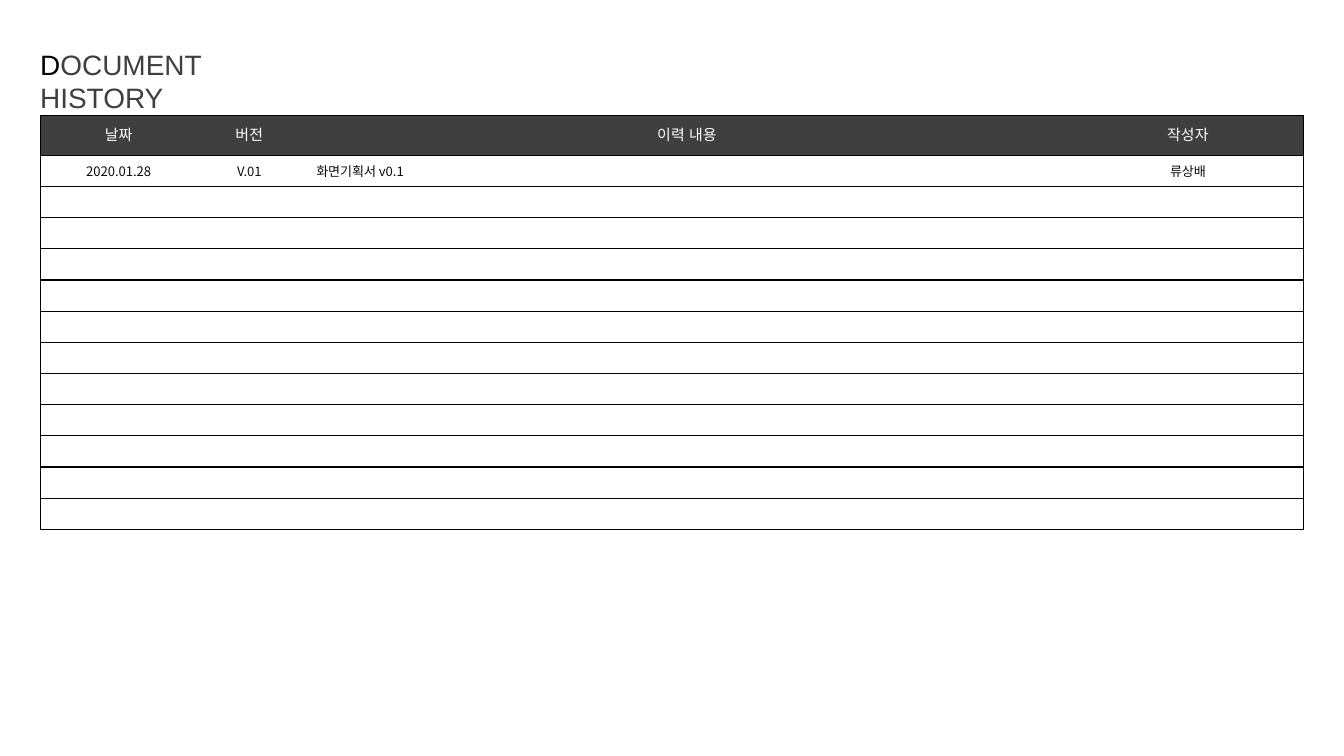
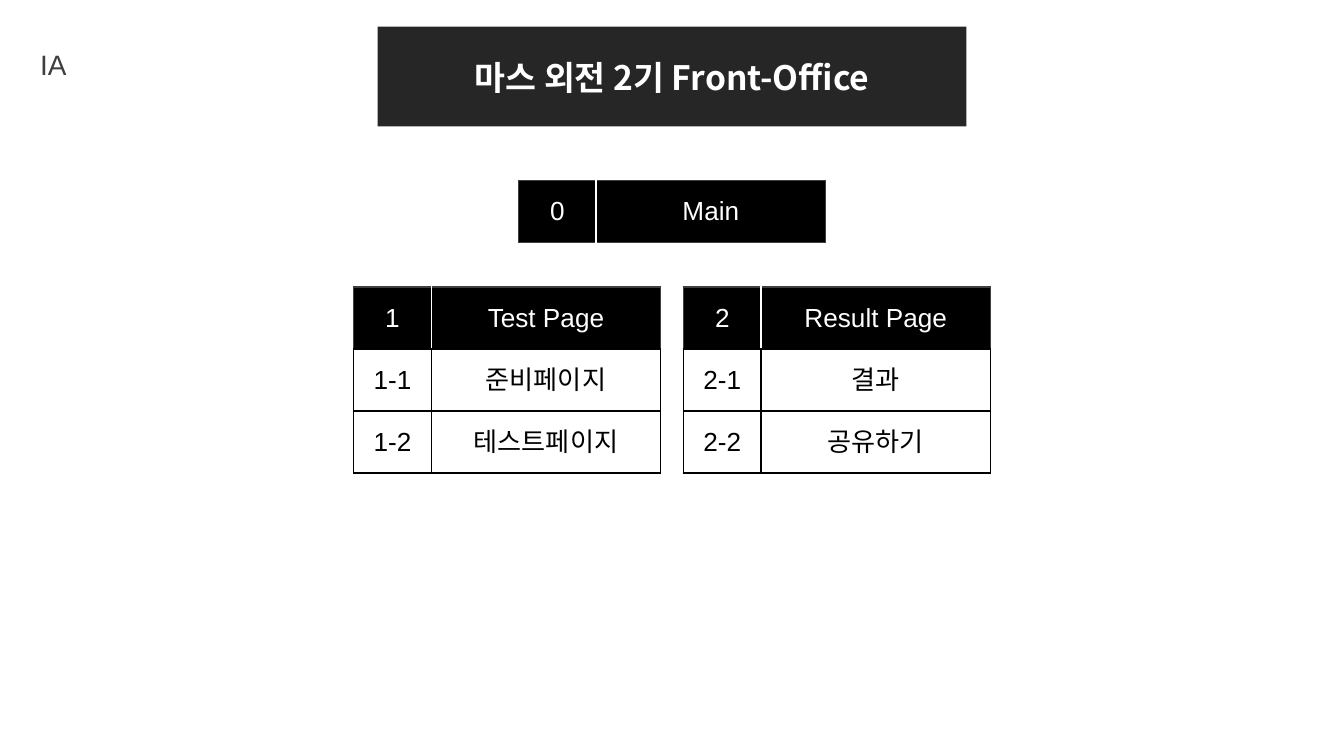
import pptx
import pptx.util
import pptx.dml.color
import pptx.enum.text
import pptx.enum.shapes
import pptx.oxml.ns
import lxml.etree

Pt = pptx.util.Pt
RGB = pptx.dml.color.RGBColor.from_string
ALIGN = pptx.enum.text.PP_ALIGN
MIDDLE = pptx.enum.text.MSO_ANCHOR.MIDDLE

THEME = {
    "latin": "Arial", "hangul": "Noto Sans CJK KR",
    "black": "000000", "white": "FFFFFF", "gray": "3F3F3F",
    "ink": "0C0C0C", "band": "262626",
    "title": 15, "banner": 18, "node": 14, "head": 8, "body": 7,
}
WIDE, HIGH = 720, 405

HISTORY = {
    "title": [("D", "black"), ("OCUMENT HISTORY", "gray")],
    "width": 162,
    "head": ["날짜", "버전", "이력 내용", "작성자"],
    "rows": [["2020.01.28", "V.01", "화면기획서 v0.1", "류상배"]],
    "blank": 11,
}
SITE = {
    "title": [("IA", "gray")],
    "width": 26,
    "banner": "마스 외전 2기 Front-Office",
    "root": ["0", "Main"],
    "groups": [
        (["1", "Test Page"], [["1-1", "준비페이지"], ["1-2", "테스트페이지"]]),
        (["2", "Result Page"], [["2-1", "결과"], ["2-2", "공유하기"]]),
    ],
}

HEAD = {"fill": "gray", "ink": "white", "font": "latin", "size": "head",
        "edge": "black", "inner": None, "line": 0.75}
BODY = {**HEAD, "fill": None, "ink": "ink", "font": "hangul", "size": "body"}
NODE = {"fill": "black", "ink": "white", "font": "latin", "size": "node",
        "edge": "gray", "inner": "white", "line": 1}
LEAF = {**NODE, "fill": "white", "ink": "black", "edge": "black", "inner": "black"}


def paint(run, font, size, ink, bold=False):
    run.font.name = THEME[font]
    run.font.size = Pt(THEME[size])
    run.font.bold = bold
    run.font.color.rgb = RGB(THEME[ink])
    props = run.font._element
    east = lxml.etree.SubElement(props, pptx.oxml.ns.qn("a:ea"))
    east.set("typeface", THEME[font])


def inset(frame, side, top):
    frame.margin_left = frame.margin_right = Pt(side)
    frame.margin_top = frame.margin_bottom = Pt(top)


def border(cell, side, ink, line):
    props = cell._tc.get_or_add_tcPr()
    edge = lxml.etree.SubElement(props, pptx.oxml.ns.qn("a:ln" + side))
    edge.set("w", str(int(Pt(line))))
    if ink is None:
        lxml.etree.SubElement(edge, pptx.oxml.ns.qn("a:noFill"))
        return
    fill = lxml.etree.SubElement(edge, pptx.oxml.ns.qn("a:solidFill"))
    lxml.etree.SubElement(fill, pptx.oxml.ns.qn("a:srgbClr")).set("val", THEME[ink])


def dress(cell, text, look, align, first, last):
    inks = {"L": look["edge" if first else "inner"],
            "R": look["edge" if last else "inner"],
            "T": look["edge"], "B": look["edge"]}
    for side, ink in inks.items():
        border(cell, side, ink, look["line"])
    if look["fill"]:
        cell.fill.solid()
        cell.fill.fore_color.rgb = RGB(THEME[look["fill"]])
    else:
        cell.fill.background()
    inset(cell, 7.9, 3.25)
    cell.vertical_anchor = MIDDLE
    para = cell.text_frame.paragraphs[0]
    para.alignment = align
    if text:
        para.text = text
        paint(para.runs[0], look["font"], look["size"], look["ink"])
    else:
        end = lxml.etree.SubElement(para._p, pptx.oxml.ns.qn("a:endParaRPr"))
        end.set("sz", str(THEME[look["size"]] * 100))


def grid(slide, left, top, cols, rows, looks, highs, aligns):
    frame = slide.shapes.add_table(len(rows), len(cols), Pt(left), Pt(top),
                                   Pt(sum(cols)), Pt(sum(highs)))
    table = frame.table
    table.first_row = table.horz_banding = False
    for col, width in zip(table.columns, cols):
        col.width = Pt(width)
    for r, row in enumerate(rows):
        table.rows[r].height = Pt(highs[r])
        for c, text in enumerate(row):
            dress(table.cell(r, c), text, looks[r], aligns[r][c],
                  c == 0, c == len(cols) - 1)


def page(deck, data):
    slide = deck.slides.add_slide(deck.slide_layouts[5])
    title = slide.shapes.title
    title.left, title.top = Pt(16.5), Pt(22.3)
    title.width, title.height = Pt(data["width"]), Pt(24)
    frame = title.text_frame
    frame.word_wrap = True
    frame.auto_size = pptx.enum.text.MSO_AUTO_SIZE.NONE
    frame.vertical_anchor = pptx.enum.text.MSO_ANCHOR.TOP
    inset(frame, 5, 2.9)
    para = frame.paragraphs[0]
    para.alignment = ALIGN.LEFT
    for text, ink in data["title"]:
        run = para.add_run()
        run.text = text
        paint(run, "latin", "title", ink)
    return slide


def history(deck):
    slide = page(deck, HISTORY)
    cols = [84, 56, 413, 123.7]
    body = HISTORY["rows"] + [[""] * len(cols)] * HISTORY["blank"]
    count = len(body)
    mid = [ALIGN.CENTER] * len(cols)
    rowed = [ALIGN.CENTER, ALIGN.CENTER, ALIGN.LEFT, ALIGN.CENTER]
    grid(slide, 21.6, 61.9, cols, [HISTORY["head"]] + body,
         [HEAD] + [BODY] * count, [21.3] + [16.7] * count,
         [mid] + [rowed] * count)


def banner(slide, text):
    width = 315.4
    box = slide.shapes.add_shape(pptx.enum.shapes.MSO_SHAPE.RECTANGLE,
                                 Pt((WIDE - width) / 2), Pt(14.3), Pt(width), Pt(53.5))
    box.shadow.inherit = False
    box.fill.solid()
    box.fill.fore_color.rgb = RGB(THEME["band"])
    box.line.fill.background()
    frame = box.text_frame
    frame.text = text
    frame.word_wrap = True
    frame.vertical_anchor = MIDDLE
    para = frame.paragraphs[0]
    para.alignment = ALIGN.CENTER
    paint(para.runs[0], "hangul", "banner", "white", True)


def sitemap(deck):
    slide = page(deck, SITE)
    banner(slide, SITE["banner"])
    cols, high, gap, top = [41.7, 122.8], 33.2, 12.2, 153.8
    wide = sum(cols)

    def block(left, y, rows, look):
        count = len(rows)
        grid(slide, left, y, cols, rows, [look] * count, [high] * count,
             [[ALIGN.CENTER] * len(cols)] * count)

    block((WIDE - wide) / 2, 96.7, [SITE["root"]], NODE)
    count = len(SITE["groups"])
    start = (WIDE - count * wide - (count - 1) * gap) / 2
    for i, (head, rows) in enumerate(SITE["groups"]):
        left = start + i * (wide + gap)
        block(left, top, [head], NODE)
        block(left, top + high, rows, LEAF)


deck = pptx.Presentation()
deck.slide_width, deck.slide_height = Pt(WIDE), Pt(HIGH)
history(deck)
sitemap(deck)
deck.save("out.pptx")
